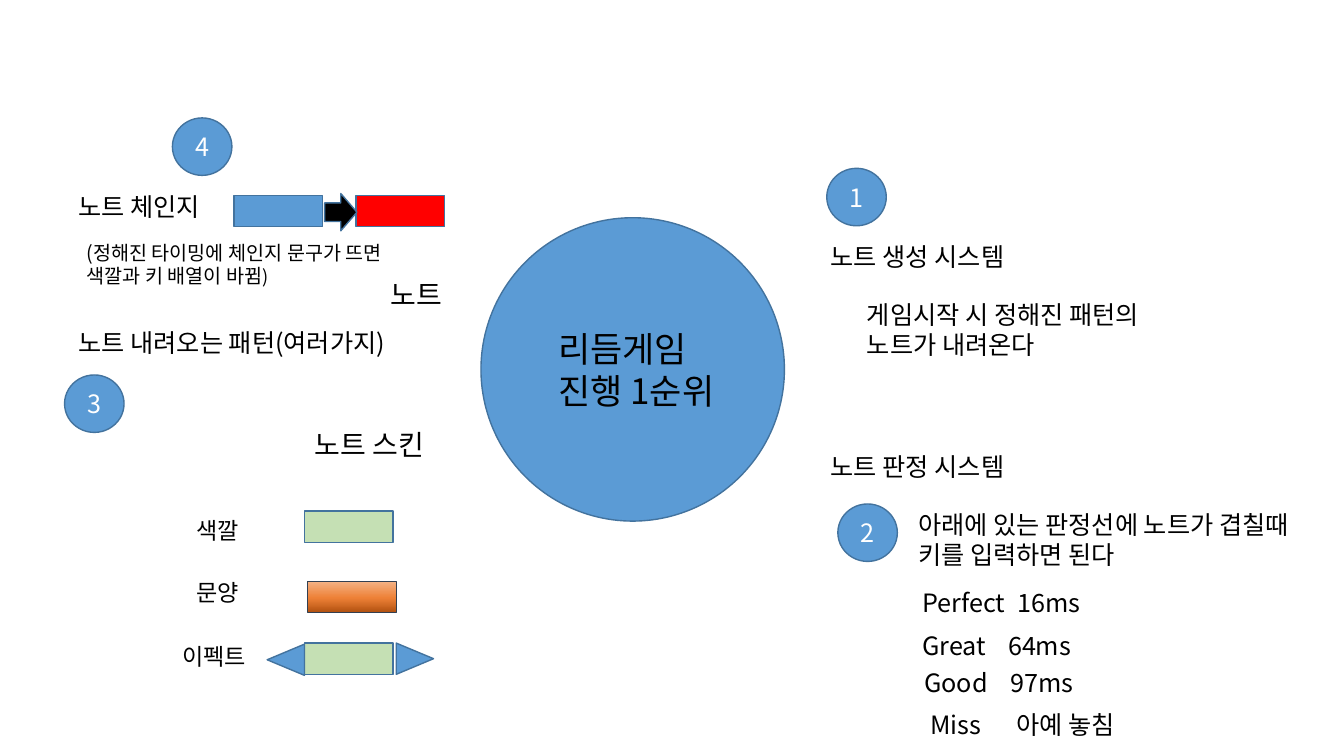
from copy import deepcopy
from pptx import Presentation
from pptx.dml.color import RGBColor as RGB
from pptx.enum.shapes import MSO_SHAPE as Kind
from pptx.enum.text import MSO_ANCHOR as Anchor, MSO_AUTO_SIZE as Auto, PP_ALIGN as Align
from pptx.oxml import parse_xml
from pptx.oxml.ns import nsdecls, qn
from pptx.util import Inches, Pt

HUES = {
    "blue": "5B9BD5", "edge": "43739E", "red": "FF0000", "green": "C5E0B4",
    "black": "000000", "white": "FFFFFF", "slate": "333F50",
    "rust": "B0500F", "orange": "EE8137", "peach": "F4B183",
}


class Board:
    """Holds the text style and the current slide."""

    def __init__(self, deck, font):
        self.slide = deck.slides.add_slide(deck.slide_layouts[6])
        self.font = font

    def hue(self, name):
        return RGB.from_string(HUES[name])

    def run(self, para, words, size, hue="black"):
        run = para.add_run()
        run.text = words
        run.font.size = Pt(size)
        run.font.name = self.font
        run.font.color.rgb = self.hue(hue)
        east = parse_xml(f'<a:ea {nsdecls("a")} typeface="{self.font}"/>')
        run.font._element.find(qn("a:latin")).addnext(east)

    def shape(self, kind, x, y, w, h, fill="blue", edge="edge", line=1, turn=0):
        item = self.slide.shapes.add_shape(
            kind, Inches(x), Inches(y), Inches(w), Inches(h))
        item.shadow.inherit = False
        item.rotation = turn
        item.fill.solid()
        item.fill.fore_color.rgb = self.hue(fill)
        item.line.color.rgb = self.hue(edge)
        item.line.width = Pt(line)
        return item

    def blend(self, item, stops, angle):
        item.fill.gradient()
        item.fill.gradient_angle = angle
        first = item.fill.gradient_stops[0]._gs
        while len(item.fill.gradient_stops) < len(stops):
            first.addnext(deepcopy(first))
        for stop, (place, name) in zip(item.fill.gradient_stops, stops):
            stop.position = place
            stop.color.rgb = self.hue(name)

    def badge(self, x, y, mark):
        frame = self.shape(Kind.OVAL, x, y, 0.59, 0.57).text_frame
        frame.vertical_anchor = Anchor.MIDDLE
        para = frame.paragraphs[0]
        para.alignment = Align.CENTER
        self.run(para, mark, 18, "white")

    def text(self, x, y, w, h, size, *lines, tab=None):
        """Each line is a string or a list of (words, size) runs."""
        frame = self.slide.shapes.add_textbox(
            Inches(x), Inches(y), Inches(w), Inches(h)).text_frame
        frame.word_wrap = True
        frame.auto_size = Auto.SHAPE_TO_FIT_TEXT
        for i, line in enumerate(lines):
            para = frame.add_paragraph() if i else frame.paragraphs[0]
            if tab:
                para._p.get_or_add_pPr().append(parse_xml(
                    f'<a:tabLst {nsdecls("a")}><a:tab pos="{Inches(tab)}" algn="l"/></a:tabLst>'))
            parts = [(line, size)] if isinstance(line, str) else line
            for words, points in parts:
                self.run(para, words, points)


def main():
    deck = Presentation()
    deck.slide_width, deck.slide_height = Inches(13.33), Inches(7.5)
    board = Board(deck, "Noto Sans CJK KR")
    note = (0.88, 0.31)

    # Centre circle
    board.shape(Kind.OVAL, 4.77, 2.16, 3.01, 3.01)
    board.text(5.44, 3.2, 1.92, 0.94, 25, "리듬게임", "진행 1순위")

    # Headings
    board.text(3.78, 2.7, 0.76, 0.44, 20, "노트")
    board.text(3.02, 4.19, 1.42, 0.44, 20, "노트 스킨")
    board.text(0.68, 3.2, 3.56, 0.4, 18, "노트 내려오는 패턴(여러가지)")
    board.text(0.68, 1.85, 1.55, 0.4, 18, "노트 체인지")
    board.text(8.14, 4.43, 2.15, 0.4, 18, "노트 판정 시스템")
    board.text(8.14, 2.34, 2.15, 0.4, 18, "노트 생성 시스템")

    # Note change
    for x, fill in ((2.32, "blue"), (3.53, "red")):
        board.shape(Kind.RECTANGLE, x, 1.94, *note, fill)
    board.shape(Kind.RIGHT_ARROW, 3.22, 1.92, 0.32, 0.37, "black")
    board.text(0.76, 2.34, 3.55, 0.57, 14, "(정해진 타이밍에 체인지 문구가 뜨면",
               [("색깔과 키 배열이 바뀜", 14), (")", 13)])

    # Note skins
    for x, y, w, name in ((1.85, 5.07, 0.66, "색깔"), (1.85, 5.69, 0.66, "문양"),
                          (1.71, 6.32, 0.92, "이펙트")):
        board.text(x, y, w, 0.38, 16.5, name)
    for y in (5.07, 6.38):
        board.shape(Kind.RECTANGLE, 3.02, y, *note, "green")
    skin = board.shape(Kind.RECTANGLE, 3.05, 5.77, *note, edge="slate", line=0.75)
    board.blend(skin, ((0, "rust"), (0.48, "orange"), (1, "peach")), 90)
    for x, y, turn in ((3.96, 6.35, 90), (2.68, 6.36, 270)):
        board.shape(Kind.ISOSCELES_TRIANGLE, x, y, 0.31, 0.37, turn=turn)

    # Numbered badges
    spots = ((8.2, 1.67), (8.31, 5), (0.64, 3.72), (1.71, 1.17))
    for i, (x, y) in enumerate(spots, 1):
        board.badge(x, y, str(i))

    # System details
    board.text(8.5, 2.92, 3.25, 0.71, 18, "게임시작 시 정해진 패턴의", "노트가 내려온다")
    board.text(9.01, 5, 4.35, 0.71, 18, "아래에 있는 판정선에 노트가 겹칠때",
               "키를 입력하면 된다")

    # Timing grades
    for x, y, tab, grade, limit in (
            (9.05, 5.78, 0.94, "Perfect", "16ms"), (9.05, 6.2, 0.85, "Great", "64ms"),
            (9.07, 6.57, 0.85, "Good", "97ms"), (9.13, 6.99, 0.85, "Miss", "아예 놓침")):
        board.text(x, y, 2.26, 0.4, 18, f"{grade}\t{limit}", tab=tab)

    deck.save("out.pptx")


if __name__ == "__main__":
    main()
